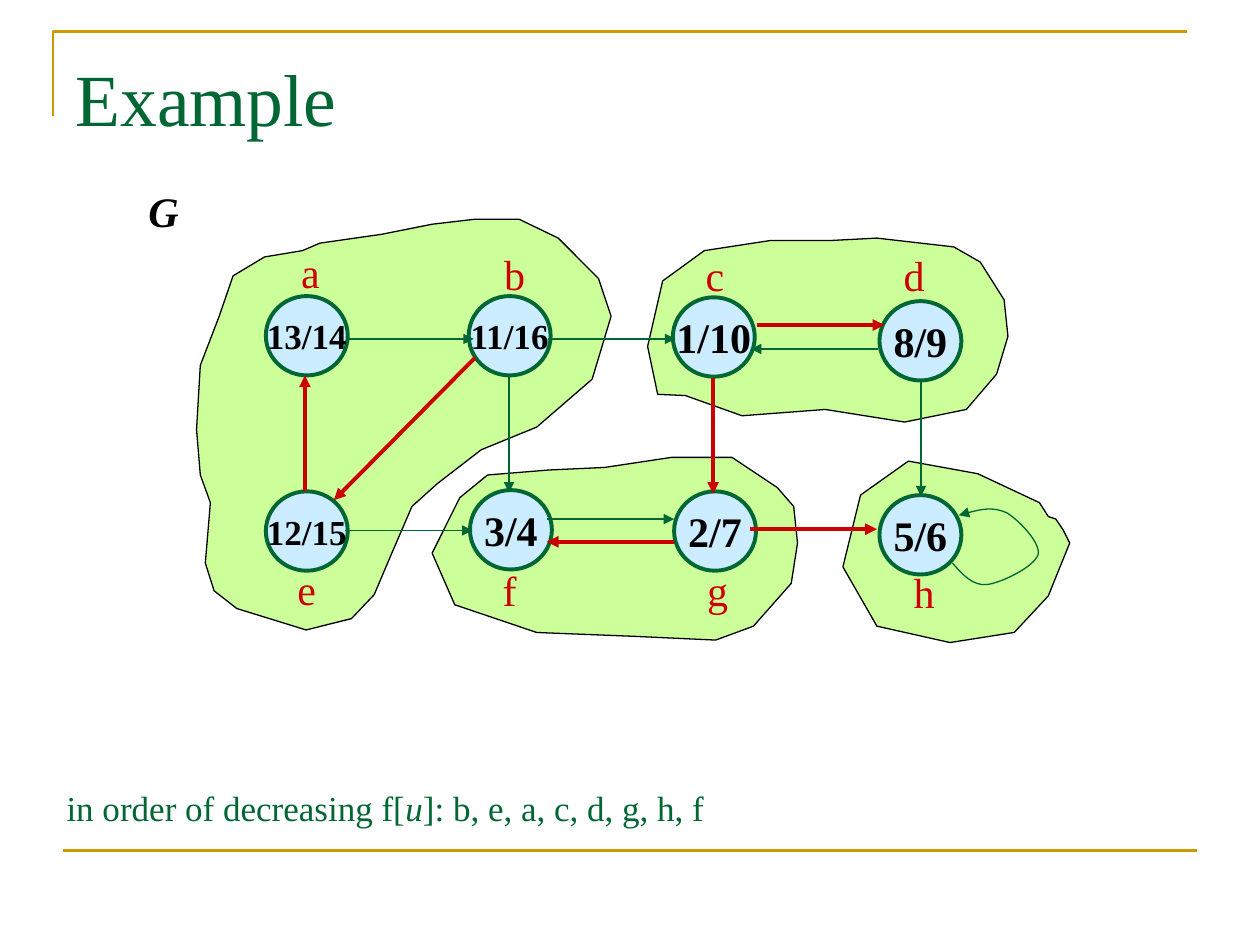
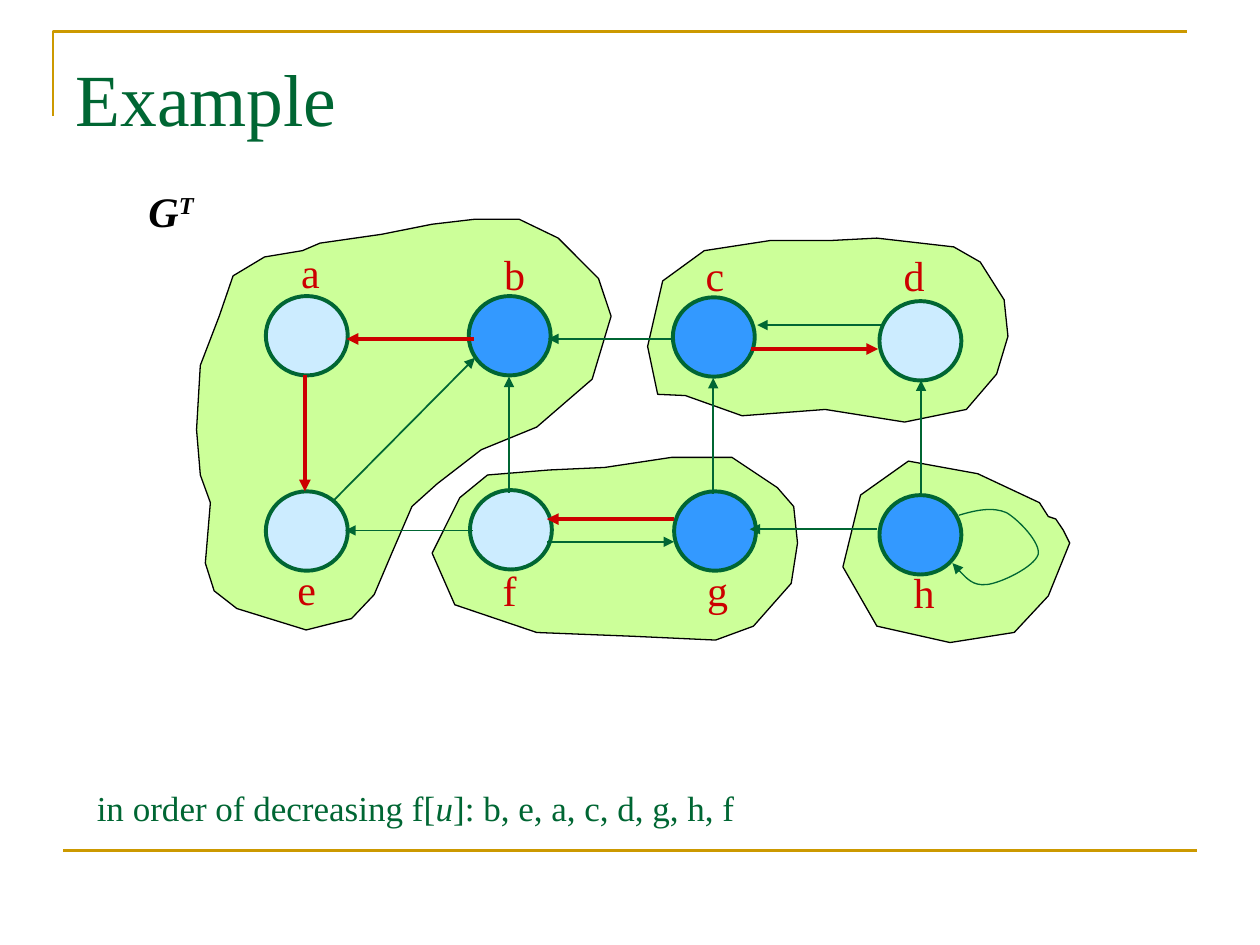
from dataclasses import dataclass
from lxml.etree import SubElement
from pptx import Presentation
from pptx.dml.color import RGBColor
from pptx.enum.shapes import MSO_CONNECTOR, MSO_SHAPE
from pptx.enum.text import MSO_ANCHOR, MSO_AUTO_SIZE, PP_ALIGN
from pptx.oxml.ns import qn
from pptx.util import Inches, Pt

WIDE, HIGH = Inches(10), Inches(7.5)
COLS, ROWS = 100, 75
FONT = "Times New Roman"
GREEN = RGBColor(0x00, 0x66, 0x33)
GOLD = RGBColor(0xCC, 0x99, 0x00)
RED = RGBColor(0xCC, 0x00, 0x00)
LIME = RGBColor(0xCC, 0xFF, 0x99)
PALE = RGBColor(0xCC, 0xEC, 0xFF)
BLUE = RGBColor(0x33, 0x99, 0xFF)
BLACK = RGBColor(0, 0, 0)

Point = tuple[float, float]


@dataclass(frozen=True)
class Node:
    name: str
    left: float
    top: float
    tag: Point
    time: str


@dataclass(frozen=True)
class Edge:
    name: str
    start: Point
    end: Point


@dataclass(frozen=True)
class Graph:
    power: str
    flip: bool
    red: set[str]
    dark: set[str]
    left: float


NODES = [
    Node("a", 21.1, 23.5, (24.65, 19.1), "13/14"),
    Node("b", 37.2, 23.5, (40.85, 19.2), "11/16"),
    Node("c", 53.4, 23.6, (56.75, 19.3), "1/10"),
    Node("d", 69.8, 23.9, (72.55, 19.3), "8/9"),
    Node("e", 21.1, 39, (24.35, 44.2), "12/15"),
    Node("f", 37.3, 38.9, (40.45, 44.3), "3/4"),
    Node("g", 53.5, 39, (56.95, 44.3), "2/7"),
    Node("h", 69.8, 39.3, (73.35, 44.5), "5/6"),
]

EDGES = [
    Edge("ab", (27.5, 26.9), (37.6, 26.9)),
    Edge("bc", (43.5, 26.9), (53.6, 26.9)),
    Edge("cd", (60.1, 25.8), (70.2, 25.8)),
    Edge("dc", (69.7, 27.7), (59.6, 27.7)),
    Edge("ea", (24.2, 39), (24.2, 29.8)),
    Edge("be", (37.7, 28.4), (26.5, 39.7)),
    Edge("bf", (40.4, 29.9), (40.4, 39.1)),
    Edge("cg", (56.6, 30), (56.6, 39.2)),
    Edge("dh", (73.1, 30.2), (73.1, 39.4)),
    Edge("ef", (27.4, 42.1), (37.5, 42.1)),
    Edge("fg", (43.4, 41.2), (53.5, 41.2)),
    Edge("gf", (53.5, 43), (43.4, 43)),
    Edge("gh", (59.5, 42), (69.6, 42)),
]

LOOP = [(75.6, 44.7), (76.4, 45.6), (77.2, 46.5), (78.3, 46.4), (79.4, 46.3),
        (82.1, 45), (82.4, 44), (82.6, 43.1), (80.9, 41.3), (79.9, 40.7),
        (78.8, 40.2), (77.4, 40.5), (76.1, 40.9)]

ZONES = [
    [(77.6, 37.6), (72.1, 36.6), (68.3, 39.3), (66.9, 45), (69.6, 49.7),
     (75.4, 51), (80.5, 50.2), (83.2, 47.3), (84.9, 43.1), (84.4, 42.1),
     (83.8, 41.2), (83.2, 41), (82.5, 39.9)],
    [(48, 37.1), (43.6, 37.3), (38.7, 37.7), (36.5, 39.5), (34.3, 43.9),
     (36.1, 48), (42.6, 50.2), (50.2, 50.5), (56.8, 50.8), (59.8, 49.7),
     (62.8, 46.3), (63.3, 43.1), (63, 40.2), (61.7, 38.7), (58.1, 36.3),
     (53.3, 36.3)],
    [(69.6, 18.9), (65.8, 19.1), (61.1, 19.1), (55.9, 19.9), (52.6, 22.3),
     (51.4, 27.5), (52.2, 31.3), (54.4, 31.4), (58.9, 33), (65.5, 32.5),
     (71.8, 33.5), (76.7, 32.5), (79.1, 29.7), (80, 26.7), (79.7, 23.8),
     (77.8, 20.8), (75.7, 19.6)],
    [(21, 20.4), (18.5, 21.9), (17.4, 25.1), (15.9, 29), (15.6, 34.1),
     (15.9, 37.7), (16.7, 39.9), (16.3, 44.7), (17, 46.9), (18.8, 48.3),
     (24.3, 50), (27.9, 49.1), (29.7, 47.2), (31.1, 43.9), (32.7, 40.2),
     (34.7, 38.4), (38.2, 35.7), (42.6, 33.9), (47, 30.1), (48.5, 25.1),
     (47.5, 22.1), (44.3, 18.9), (41.2, 17.4), (37.7, 17.4), (34.3, 17.8),
     (30.3, 18.6), (25.4, 19.3), (24, 19.9)],
]

GRAPHS = [
    Graph("", False, {"cd", "ea", "be", "cg", "gf", "gh"}, set(), 4.3),
    Graph("T", True, {"ab", "dc", "ea", "fg"}, set("bcgh"), 6.7),
]


def col(count: float) -> int:
    return round(WIDE * count / COLS)


def row(count: float) -> int:
    return round(HIGH * count / ROWS)


def ink(shape, color: RGBColor, width: float, arrow: bool = False) -> None:
    shape.line.color.rgb = color
    shape.line.width = Pt(width)
    if arrow:
        SubElement(shape.line._get_or_add_ln(), qn("a:tailEnd"), type="triangle")


def style(part, size: float, color: RGBColor, bold: bool = False) -> None:
    part.font.name = FONT
    part.font.size = Pt(size)
    part.font.color.rgb = color
    part.font.bold = bold


def trace(slide, points: list[Point], close: bool):
    spots = [(col(x), row(y)) for x, y in points]
    pen = slide.shapes.build_freeform(*spots[0])
    pen.add_line_segments(spots[1:], close=close)
    shape = pen.convert_to_shape()
    shape.shadow.inherit = False
    if close:
        shape.fill.solid()
        shape.fill.fore_color.rgb = LIME
    else:
        shape.fill.background()
    return shape


def bend(shape) -> None:
    steps = list(shape._element.iter(qn("a:lnTo")))
    for at in range(0, len(steps), 3):
        curve = SubElement(steps[at].getparent(), qn("a:cubicBezTo"))
        for step in steps[at:at + 3]:
            curve.append(step[0])
            step.getparent().remove(step)


def link(slide, start: Point, end: Point, color: RGBColor, width: float,
         arrow: bool = True) -> None:
    line = slide.shapes.add_connector(
        MSO_CONNECTOR.STRAIGHT, col(start[0]), row(start[1]), col(end[0]), row(end[1]))
    ink(line, color, width, arrow)
    SubElement(line._element.spPr, qn("a:effectLst"))


def write(slide, left: float, top: float, wide: float, high: float,
          wrap: bool = False):
    box = slide.shapes.add_textbox(col(left), row(top), col(wide), row(high))
    box.text_frame.word_wrap = wrap
    return box.text_frame.paragraphs[0]


def frame(slide) -> None:
    ink(trace(slide, [(4.2, 9.2), (4.2, 2.5), (94.2, 2.5)], False), GOLD, 1.5)
    link(slide, (5, 67.5), (95, 67.5), GOLD, 1.5, False)


def head(slide, text: str) -> None:
    title = slide.shapes.title
    title.left, title.top, title.width, title.height = col(5), row(3), col(90), row(12.5)
    body = title.text_frame
    body.text = text
    body.auto_size = MSO_AUTO_SIZE.NONE
    body.vertical_anchor = MSO_ANCHOR.TOP
    body.margin_top = row(1.2)
    body.paragraphs[0].alignment = PP_ALIGN.LEFT
    style(body.paragraphs[0], 42, GREEN)


def disc(slide, node: Node, graph: Graph) -> None:
    shape = slide.shapes.add_shape(
        MSO_SHAPE.OVAL, col(node.left), row(node.top), col(6.5), row(6.3))
    shape.shadow.inherit = False
    shape.fill.solid()
    shape.fill.fore_color.rgb = BLUE if node.name in graph.dark else PALE
    ink(shape, GREEN, 2.25)
    if not graph.flip:
        body = shape.text_frame
        body.text = node.time
        body.word_wrap = False
        body.vertical_anchor = MSO_ANCHOR.MIDDLE
        body.paragraphs[0].alignment = PP_ALIGN.CENTER
        style(body.paragraphs[0], 20 if len(node.time) > 4 else 24, BLACK, True)


def label(slide, node: Node) -> None:
    mid, top = node.tag
    para = write(slide, mid - 1.85, top, 3.7, 5)
    para.text = node.name
    para.alignment = PP_ALIGN.CENTER
    style(para, 24, RED)


def sign(slide, power: str) -> None:
    para = write(slide, 10.8, 14.2, 5.8 if power else 4.4, 5)
    para.add_run().text = "G"
    if power:
        run = para.add_run()
        run.text = power
        run._r.get_or_add_rPr().set("baseline", "30000")
    style(para, 24, BLACK, True)
    para.font.italic = True


def note(slide, left: float) -> None:
    para = write(slide, left, 61.9, 74, 4.4, True)
    for text in ("in order of decreasing f[", "u", "]: b, e, a, c, d, g, h, f"):
        run = para.add_run()
        run.text = text
        if text == "u":
            run.font.italic = True
    style(para, 20, GREEN)


def draw(slide, graph: Graph) -> None:
    frame(slide)
    head(slide, "Example")
    for zone in ZONES:
        ink(trace(slide, zone, True), BLACK, 0.75)
    for node in NODES:
        disc(slide, node, graph)
        label(slide, node)
    turn = -1 if graph.flip else 1
    for edge in EDGES:
        start, end = (edge.start, edge.end)[::turn]
        hot = edge.name in graph.red
        link(slide, start, end, RED if hot else GREEN, 2.25 if hot else 1)
    loop = trace(slide, LOOP[::turn], False)
    bend(loop)
    ink(loop, GREEN, 0.75, True)
    sign(slide, graph.power)
    note(slide, graph.left)


def main() -> None:
    deck = Presentation()
    deck.slide_width, deck.slide_height = WIDE, HIGH
    for graph in GRAPHS:
        draw(deck.slides.add_slide(deck.slide_layouts[5]), graph)
    deck.save("out.pptx")


if __name__ == "__main__":
    main()
